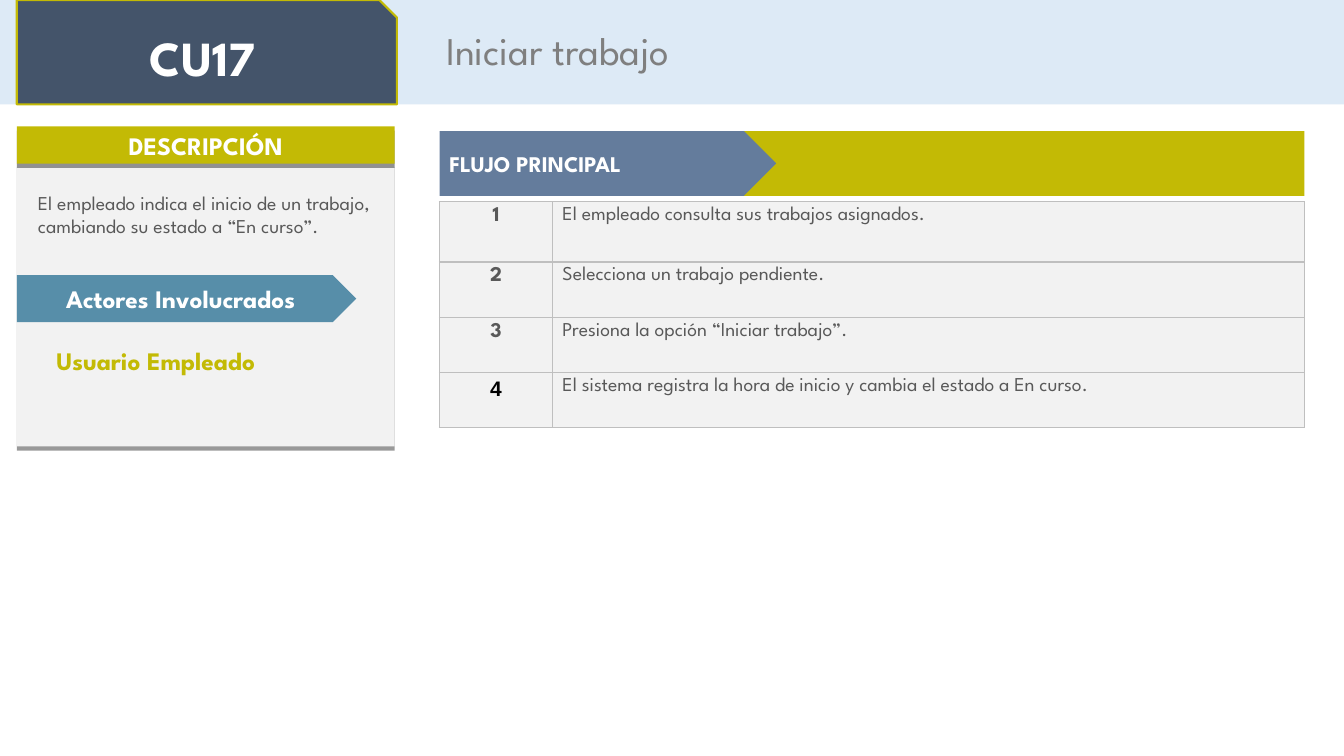
from lxml import etree
from pptx import Presentation
from pptx.dml.color import RGBColor
from pptx.enum.shapes import MSO_SHAPE
from pptx.enum.text import MSO_ANCHOR, MSO_AUTO_SIZE, PP_ALIGN
from pptx.oxml.ns import qn
from pptx.util import Pt

RECTANGLE = MSO_SHAPE.RECTANGLE
PENTAGON = MSO_SHAPE.PENTAGON
SNIPPED = MSO_SHAPE.SNIP_1_RECTANGLE
TOP, MIDDLE = MSO_ANCHOR.TOP, MSO_ANCHOR.MIDDLE
LEFT, CENTER = PP_ALIGN.LEFT, PP_ALIGN.CENTER
NO_AUTOFIT = MSO_AUTO_SIZE.NONE

WHITE = RGBColor(0xFF, 0xFF, 0xFF)
BLACK = RGBColor(0x00, 0x00, 0x00)
PALE_BLUE = RGBColor(0xDD, 0xEA, 0xF6)
PALE_GRAY = RGBColor(0xF2, 0xF2, 0xF2)
BORDER_GRAY = RGBColor(0xBF, 0xBF, 0xBF)
TITLE_GRAY = RGBColor(0x7F, 0x7F, 0x7F)
TEXT_GRAY = RGBColor(0x59, 0x59, 0x59)
OLIVE = RGBColor(0xC3, 0xBA, 0x05)
NAVY = RGBColor(0x44, 0x54, 0x6A)
TEAL = RGBColor(0x57, 0x8E, 0xA9)
SLATE = RGBColor(0x64, 0x7C, 0x9C)

STEPS = [
    "El empleado consulta sus trabajos asignados.",
    "Selecciona un trabajo pendiente.",
    "Presiona la opción “Iniciar trabajo”.",
    "El sistema registra la hora de inicio y cambia el estado a En curso.",
]


def write(frame, text, size=14, color=TEXT_GRAY, bold=False, align=LEFT,
          font="League Spartan"):
    """Put one formatted paragraph into a text frame."""
    para = frame.paragraphs[0]
    para.alignment = align
    span = para.add_run()
    span.text = text
    span.font.name = font
    span.font.size = Pt(size)
    span.font.bold = bold
    span.font.color.rgb = color


def add_element(parent, tag, **attributes):
    return etree.SubElement(parent, qn(tag), attributes)


class UseCaseSlide:
    def __init__(self, page):
        self.page = page

    def set_frame(self, frame, anchor):
        frame.word_wrap = True
        frame.auto_size = NO_AUTOFIT
        frame.vertical_anchor = anchor
        frame.margin_left = frame.margin_right = Pt(7.2)
        frame.margin_top = frame.margin_bottom = Pt(3.6)

    def shape(self, kind, left, top, width, height, fill, text=None, group=None,
              line=None, corner=None, shadow=False, **style):
        shapes = (group or self.page).shapes
        box = shapes.add_shape(kind, Pt(left), Pt(top), Pt(width), Pt(height))
        box.shadow.inherit = False
        if corner is not None:
            box.adjustments[0] = corner
        box.fill.solid()
        box.fill.fore_color.rgb = fill
        if line is None:
            box.line.fill.background()
        else:
            box.line.color.rgb = line
            box.line.width = Pt(1.5)
        if shadow:
            self.drop_shadow(box)
        if text:
            self.set_frame(box.text_frame, MIDDLE)
            write(box.text_frame, text, color=WHITE, bold=True, **style)

    def drop_shadow(self, box):
        effects = box.element.spPr.find(qn("a:effectLst"))
        outer = add_element(effects, "a:outerShdw", blurRad="0",
                            dist=str(Pt(3)), dir="5400000", rotWithShape="0")
        tint = add_element(outer, "a:srgbClr", val=str(BLACK))
        add_element(tint, "a:alpha", val="40000")

    def text(self, left, top, width, height, text, **style):
        box = self.page.shapes.add_textbox(Pt(left), Pt(top), Pt(width), Pt(height))
        self.set_frame(box.text_frame, TOP)
        write(box.text_frame, text, **style)

    def title(self, left, top, width, height, text, **style):
        box = self.page.shapes.title
        box.left, box.top = Pt(left), Pt(top)
        box.width, box.height = Pt(width), Pt(height)
        self.set_frame(box.text_frame, TOP)
        write(box.text_frame, text, **style)
        # Bring the title in front of the band
        box.element.getparent().append(box.element)

    def cell(self, cell, text, **style):
        properties = cell._tc.get_or_add_tcPr()
        for side in ("a:lnL", "a:lnR", "a:lnT", "a:lnB"):
            edge = add_element(properties, side, w=str(Pt(0.96)))
            paint = add_element(edge, "a:solidFill")
            add_element(paint, "a:srgbClr", val=str(BORDER_GRAY))
        cell.fill.solid()
        cell.fill.fore_color.rgb = PALE_GRAY
        write(cell.text_frame, text, **style)

    def steps(self, left, top, widths, heights, steps):
        frame = self.page.shapes.add_table(
            len(steps), 2, Pt(left), Pt(top), Pt(sum(widths)), Pt(sum(heights)))
        table = frame.table
        table.first_row = table.horz_banding = False
        for column, width in zip(table.columns, widths):
            column.width = Pt(width)
        for row, height in zip(table.rows, heights):
            row.height = Pt(height)
        for index, step in enumerate(steps):
            last = {"font": "Arial", "color": BLACK} if index == len(steps) - 1 else {}
            self.cell(table.cell(index, 0), str(index + 1), size=15, bold=True,
                      align=CENTER, **last)
            self.cell(table.cell(index, 1), step)


def main():
    deck = Presentation()
    deck.slide_width, deck.slide_height = Pt(960), Pt(540)
    page = deck.slides.add_slide(deck.slide_layouts[5])
    slide = UseCaseSlide(page)

    # Top band
    slide.shape(RECTANGLE, 0, 0, 960, 74.6, PALE_BLUE)

    # Description panel
    panel = page.shapes.add_group_shape()
    slide.shape(RECTANGLE, 12, 116.6, 270, 202.4, PALE_GRAY, group=panel, shadow=True)
    slide.shape(RECTANGLE, 12, 90.3, 270, 26.7, OLIVE, "DESCRIPCIÓN", group=panel,
                shadow=True, size=18, align=CENTER)

    # Use case code
    slide.shape(SNIPPED, 12, 0, 271.5, 74.6, NAVY, "CU17", line=OLIVE,
                corner=0.167, size=35, align=CENTER)

    # Main flow steps
    slide.steps(314, 144, [80.6, 537.1], [43.2, 39.4, 39.4, 39.4], STEPS)

    # Actors
    slide.shape(PENTAGON, 12, 196.5, 242.5, 33.6, TEAL, "Actores Involucrados",
                corner=0.5, size=18, align=CENTER)
    slide.text(33.1, 243.4, 226.8, 29, "Usuario Empleado", size=18, color=OLIVE,
               bold=True)

    # Title
    slide.title(311.5, 15.1, 597, 41, "Iniciar trabajo", size=28, color=TITLE_GRAY)

    # Main flow header
    header = page.shapes.add_group_shape()
    slide.shape(RECTANGLE, 474.5, 93.6, 457.2, 46.3, OLIVE, group=header)
    slide.shape(PENTAGON, 314, 93.6, 240.5, 46.3, SLATE, "FLUJO PRINCIPAL",
                group=header, corner=0.5, size=16, align=LEFT)

    # Description text
    slide.text(20, 132.5, 255.6, 59.8,
               "El empleado indica el inicio de un trabajo, "
               "cambiando su estado a “En curso”.")

    deck.save("out.pptx")


if __name__ == "__main__":
    main()
